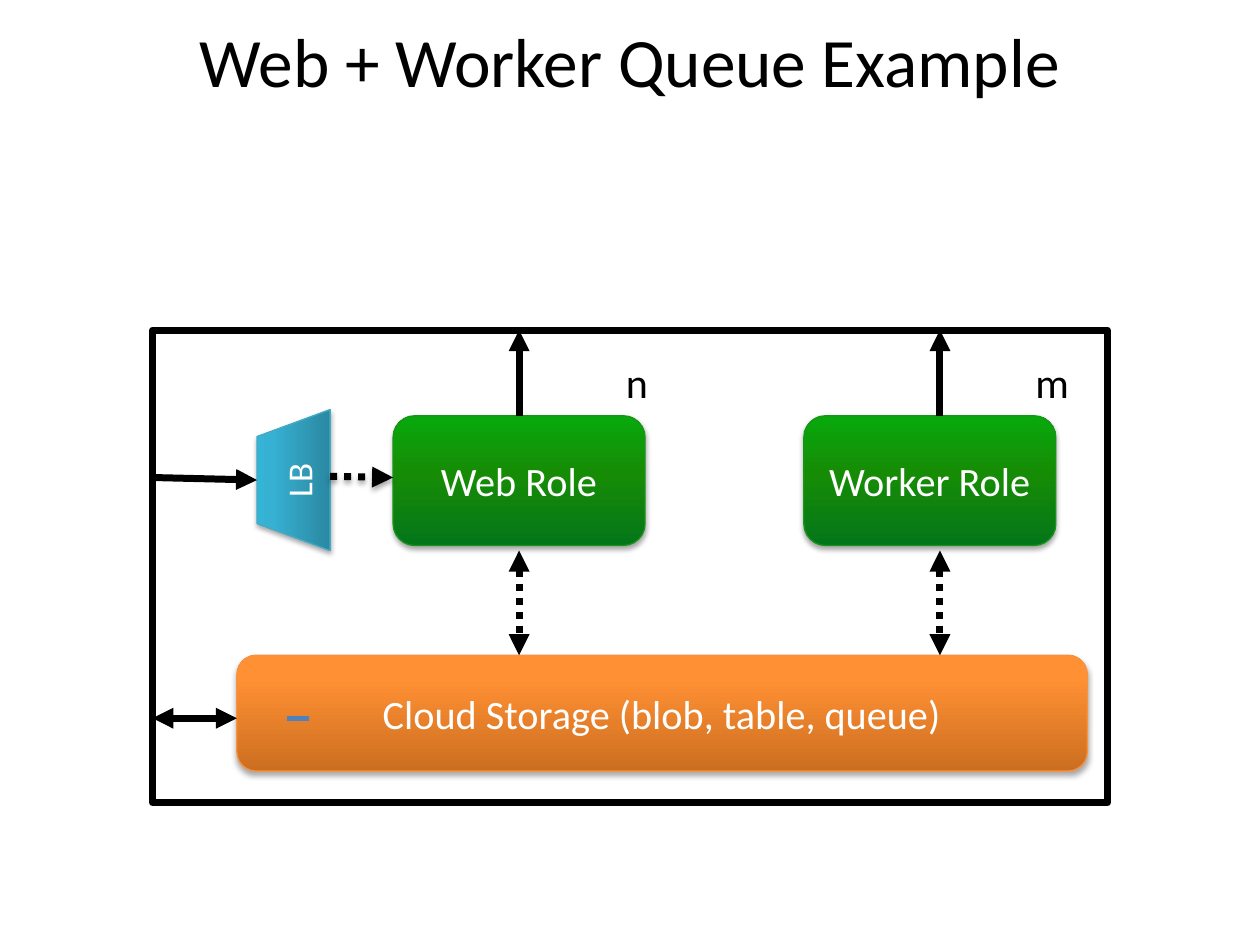
from lxml import etree
from pptx import Presentation
from pptx.dml.color import RGBColor
from pptx.enum.dml import MSO_LINE
from pptx.enum.shapes import MSO_CONNECTOR, MSO_SHAPE
from pptx.enum.text import MSO_ANCHOR, PP_ALIGN
from pptx.oxml import parse_xml
from pptx.oxml.ns import nsdecls, qn
from pptx.util import Inches, Pt

deck = Presentation()
deck.slide_width, deck.slide_height = Inches(10), Inches(7.5)
slide = deck.slides.add_slide(deck.slide_layouts[5])
CELL = deck.slide_width / 100  # square grid: 100 columns by 75 rows
color = RGBColor.from_string


def grid(*cells):
    return [round(cell * CELL) for cell in cells]


def set_effect(part, shadowed):
    """Give a part the soft drop shadow, or an empty effect list."""
    shadow = (
        '<a:outerShdw blurRad="39370" dist="22860" dir="5400000" rotWithShape="0">'
        '<a:srgbClr val="000000"><a:alpha val="35000"/></a:srgbClr></a:outerShdw>'
    )
    part._element.spPr.append(parse_xml(
        f'<a:effectLst {nsdecls("a")}>{shadow if shadowed else ""}</a:effectLst>'))


# Columns and rows shared by the diagram parts
web_x, worker_x = 41.2, 74.6
frame_left, frame_top = 12.1, 26.2
role_top, role_width, role_height = 33, 20, 10.3
storage_left, storage_top, storage_y = 18.8, 52, 57
web_left, worker_left = 31.2, 63.8
balancer_y, balancer_left, balancer_right = 38.1, 20.4, 26.2

# Gradients run from the bottom edge to the top edge
ORANGE = [(0, "CC6E20"), (80, "FF9034"), (100, "FF9136")]
GREEN = [(0, "04761A"), (55, "168C06"), (100, "08A80C")]
TEAL = [(0, "2A88A2"), (80, "37B1D2"), (100, "34B4D6")]

# Title
title = slide.shapes.title
title.left, title.top, title.width, title.height = grid(4.2, 1.7, 91.6, 6.1)
title.text_frame.vertical_anchor = MSO_ANCHOR.MIDDLE
texts = [(title.text_frame, "Web + Worker Queue Example", 39.6, "000000", PP_ALIGN.CENTER)]

# Storage, roles and load balancer
rounded = MSO_SHAPE.ROUNDED_RECTANGLE
blocks = [
    ("Cloud Storage (blob, table, queue)", rounded,
     (storage_left, storage_top, 67.5, 9.2), ORANGE, "F69240", 23),
    ("Web Role", rounded,
     (web_left, role_top, role_width, role_height), GREEN, "199319", 23),
    ("Worker Role", rounded,
     (worker_left, role_top, role_width, role_height), GREEN, "199319", 23),
    ("LB", MSO_SHAPE.TRAPEZOID, (17.7, 35.2, 11.2, 5.8), TEAL, "46AAC5", 20),
]
for text, kind, box, stops, outline, size in blocks:
    block = slide.shapes.add_shape(kind, *grid(*box))
    if kind == MSO_SHAPE.TRAPEZOID:
        block.rotation = 270
        block.adjustments[0] = 0.37
    stop_xml = "".join(
        f'<a:gs pos="{share * 1000}"><a:srgbClr val="{tint}"/></a:gs>' for share, tint in stops)
    block._element.spPr.append(parse_xml(
        f'<a:gradFill {nsdecls("a")} rotWithShape="1"><a:gsLst>{stop_xml}</a:gsLst>'
        '<a:lin ang="16200000" scaled="0"/></a:gradFill>'))
    block.line.color.rgb = color(outline)
    block.line.width = Pt(0.75)
    set_effect(block, True)
    block.text_frame.word_wrap = True
    block.text_frame.vertical_anchor = MSO_ANCHOR.MIDDLE
    texts.append((block.text_frame, text, size, "FFFFFF", PP_ALIGN.CENTER))

# Instance counts
for count, left in (("n", 48.7), ("m", 81.2)):
    label = slide.shapes.add_textbox(*grid(left, 27.8, 3.4, 5))
    texts.append((label.text_frame, count, 24, "000000", PP_ALIGN.LEFT))

for frame, text, size, ink, align in texts:
    frame.text = text
    paragraph = frame.paragraphs[0]
    paragraph.alignment = align
    paragraph.font.name = "Calibri"
    paragraph.font.size = Pt(size)
    paragraph.font.color.rgb = color(ink)

# Outer frame
boundary = slide.shapes.add_shape(
    MSO_SHAPE.RECTANGLE, *grid(frame_left, frame_top, 75.8, 37.5))
boundary.fill.background()
boundary.line.color.rgb = color("000000")
boundary.line.width = Pt(4)
boundary.shadow.inherit = False

# Arrows: from, to, arrowheads, dotted, shadow
BOTH = ("headEnd", "tailEnd")
END = ("tailEnd",)
arrows = [
    ((storage_left, storage_y), (frame_left, storage_y), BOTH, False, False),
    ((frame_left, 37.9), (balancer_left, balancer_y), END, False, False),
    ((balancer_right, 37.8), (web_left, 37.9), END, True, True),
    ((22.8, storage_y), (24.5, storage_y), (), False, False),
]
for x in (web_x, worker_x):
    arrows.append(((x, role_top), (x, frame_top), END, False, False))
    arrows.append(((x, 43.7), (x, storage_top), BOTH, True, False))

for start, end, heads, dotted, shadowed in arrows:
    arrow = slide.shapes.add_connector(MSO_CONNECTOR.STRAIGHT, *grid(*start, *end))
    arrow.line.color.rgb = color("000000" if heads else "4F81BD")
    arrow.line.width = Pt(4 if heads else 3)
    if dotted:
        arrow.line.dash_style = MSO_LINE.ROUND_DOT
    for head in heads:
        etree.SubElement(arrow.line._get_or_add_ln(), qn(f"a:{head}"), type="triangle")
    set_effect(arrow, shadowed)

deck.save("out.pptx")
